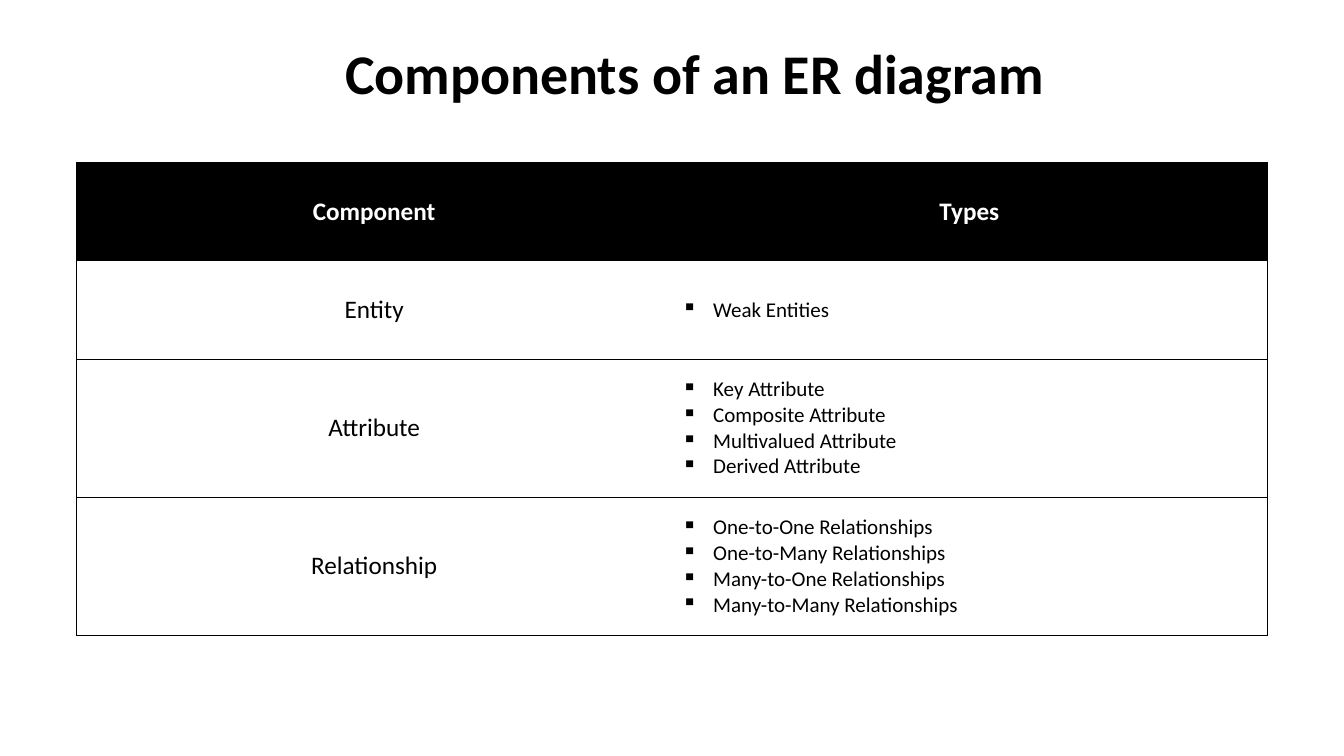
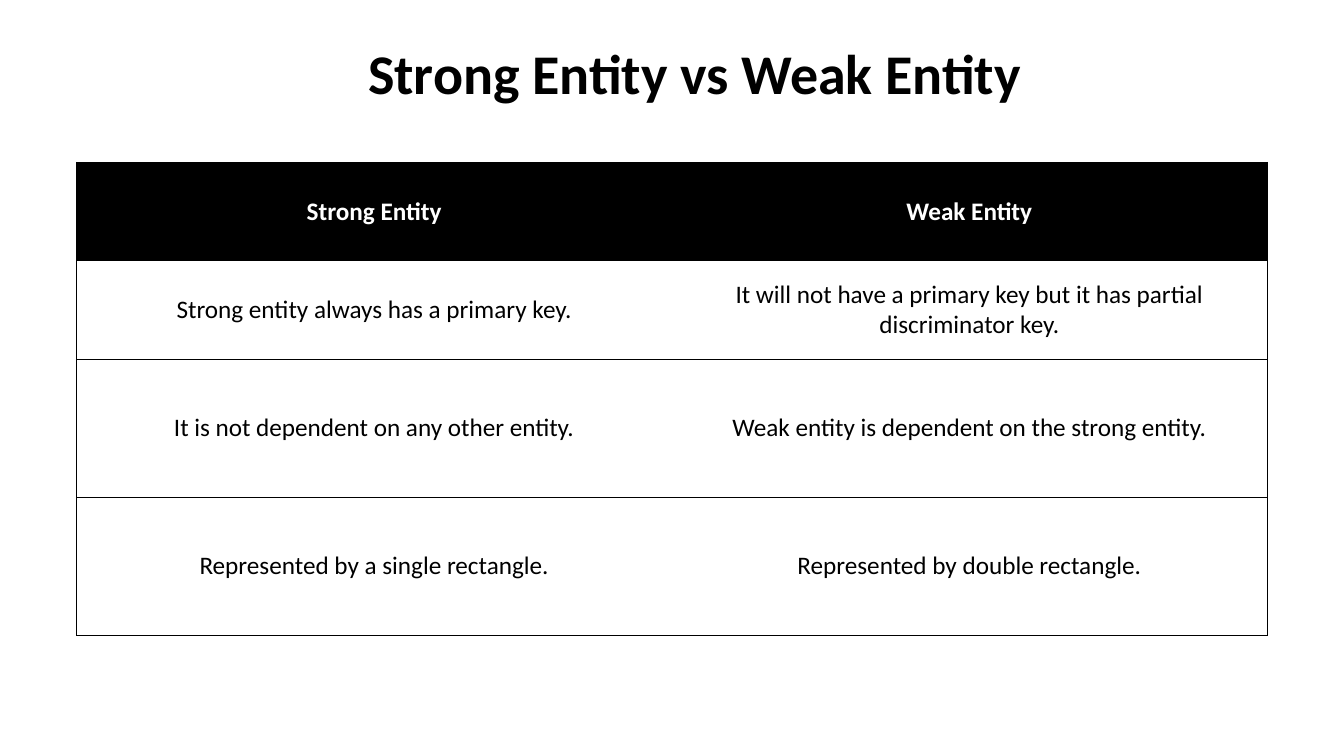
from lxml.etree import SubElement
from pptx import Presentation
from pptx.dml.color import RGBColor
from pptx.enum.text import MSO_ANCHOR as Anchor, PP_ALIGN as Align
from pptx.oxml.ns import qn
from pptx.util import Cm, Pt

# Content: a list in a cell becomes bullets
SLIDES = [
    ("Components of an ER diagram", [
        ("Component", "Types"),
        ("Entity", ["Weak Entities"]),
        ("Attribute", ["Key Attribute", "Composite Attribute",
                       "Multivalued Attribute", "Derived Attribute"]),
        ("Relationship", ["One-to-One Relationships", "One-to-Many Relationships",
                          "Many-to-One Relationships", "Many-to-Many Relationships"]),
    ]),
    ("Strong Entity vs Weak Entity", [
        ("Strong Entity", "Weak Entity"),
        ("Strong entity always has a primary key.",
         "It will not have a primary key but it has partial discriminator key."),
        ("It is not dependent on any other entity.",
         "Weak entity is dependent on the strong entity."),
        ("Represented by a single rectangle.", "Represented by double rectangle."),
    ]),
]

# Shared style
FONT, BLACK, WHITE = "Calibri", "000000", "FFFFFF"
TITLE_SIZE, CELL_SIZE, BULLET_SIZE = 40, 18, 15
TITLE_BOX = Cm(8.31), Cm(0.41), Cm(18.39), Cm(2.39)
TABLE_LEFT, TABLE_TOP = Cm(1.93), Cm(4.09)
COLUMN_WIDTH = Cm(15)
ROW_HEIGHTS = [Cm(2.48), Cm(2.48), Cm(3.48), Cm(3.48)]
BULLET_INDENT = Cm(0.79)
RULE_WIDTH = Pt(0.5)


def rgb(value):
    return RGBColor.from_string(value)


def write(frame, lines, size, color, bold=False, align=Align.CENTER):
    frame.text = "\n".join(lines)
    for paragraph in frame.paragraphs:
        paragraph.alignment = align
        for run in paragraph.runs:
            font = run.font
            font.name, font.size, font.bold = FONT, Pt(size), bold
            font.color.rgb = rgb(color)


def add_bullets(frame):
    for paragraph in frame.paragraphs:
        properties = paragraph._p.get_or_add_pPr()
        properties.set("marL", str(BULLET_INDENT))
        properties.set("indent", str(-BULLET_INDENT))
        SubElement(properties, qn("a:buChar"), char="▪")


def rule_cell(cell, ruled_sides):
    properties = cell._tc.get_or_add_tcPr()
    for side in "LRTB":
        line = SubElement(properties, qn(f"a:ln{side}"), w=str(RULE_WIDTH))
        if side in ruled_sides:
            fill = SubElement(line, qn("a:solidFill"))
            SubElement(fill, qn("a:srgbClr"), val=BLACK)
        else:
            SubElement(line, qn("a:noFill"))


def add_title(slide, title):
    frame = slide.shapes.add_textbox(*TITLE_BOX).text_frame
    frame.word_wrap = True
    frame.vertical_anchor = Anchor.BOTTOM
    write(frame, [title], TITLE_SIZE, BLACK, bold=True)
    frame.paragraphs[0].line_spacing = 0.9


def add_comparison(slide, rows):
    columns = len(rows[0])
    table = slide.shapes.add_table(
        len(rows), columns, TABLE_LEFT, TABLE_TOP,
        COLUMN_WIDTH * columns, sum(ROW_HEIGHTS)).table
    table.horz_banding = False
    for column in table.columns:
        column.width = COLUMN_WIDTH
    for r, entries in enumerate(rows):
        table.rows[r].height = ROW_HEIGHTS[r]
        header = r == 0
        for c, entry in enumerate(entries):
            cell = table.cell(r, c)
            cell.vertical_anchor = Anchor.MIDDLE
            # Horizontal rules everywhere, vertical ones on the outside only
            rule_cell(cell, "TB" + "L" * (c == 0) + "R" * (c == columns - 1))
            cell.fill.solid()
            cell.fill.fore_color.rgb = rgb(BLACK if header else WHITE)
            if isinstance(entry, list):
                write(cell.text_frame, entry, BULLET_SIZE, BLACK, align=Align.LEFT)
                add_bullets(cell.text_frame)
            else:
                write(cell.text_frame, [entry], CELL_SIZE,
                      WHITE if header else BLACK, bold=header)


def main():
    deck = Presentation()
    deck.slide_width, deck.slide_height = Cm(33.87), Cm(19.05)
    blank = deck.slide_layouts[6]
    for title, rows in SLIDES:
        slide = deck.slides.add_slide(blank)
        add_comparison(slide, rows)
        add_title(slide, title)
    deck.save("out.pptx")


if __name__ == "__main__":
    main()
